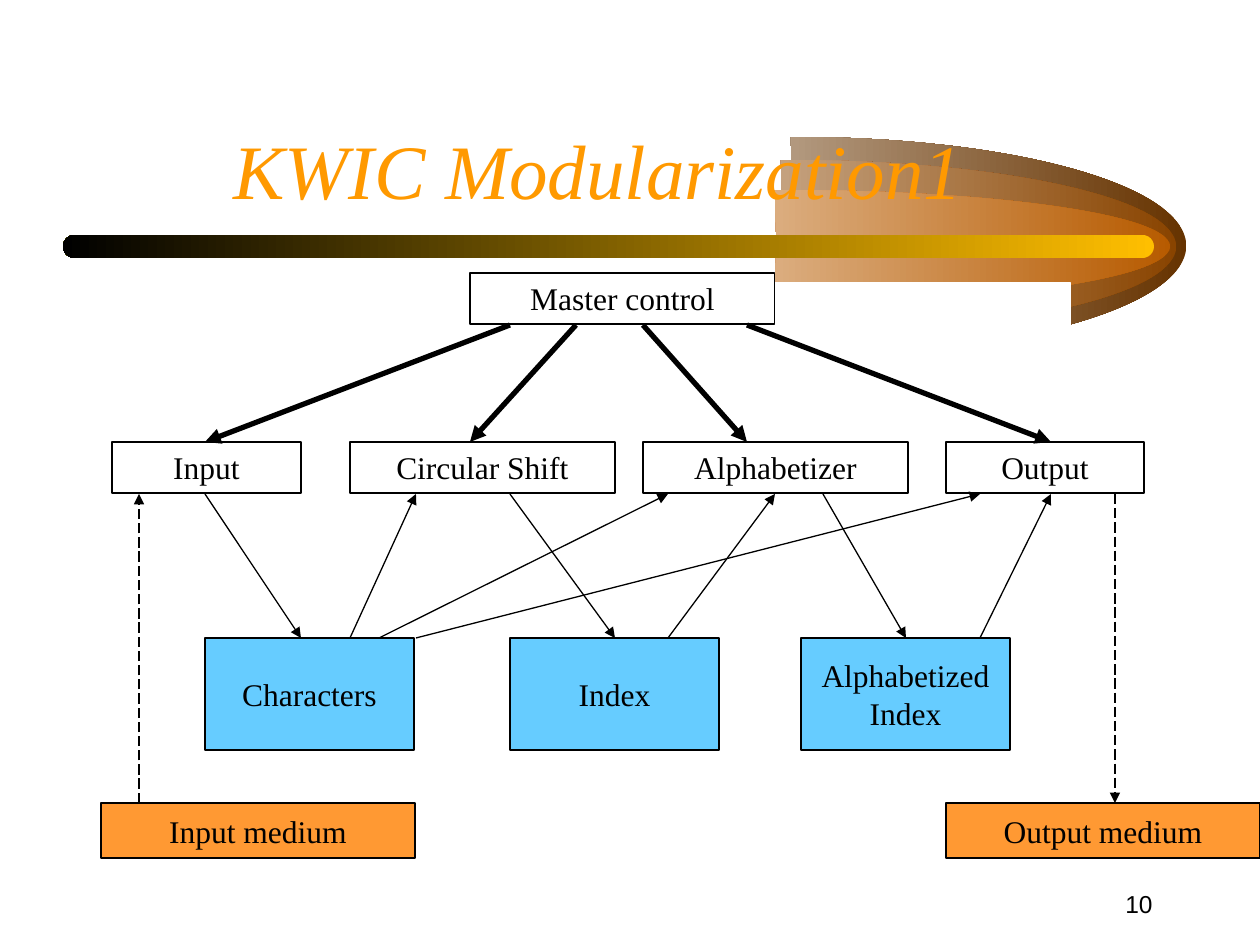
from dataclasses import dataclass

from lxml.etree import SubElement
from pptx import Presentation
from pptx.dml.color import RGBColor
from pptx.enum.dml import MSO_LINE
from pptx.enum.shapes import MSO_CONNECTOR, MSO_SHAPE
from pptx.enum.text import MSO_ANCHOR, MSO_AUTO_SIZE, PP_ALIGN
from pptx.oxml.ns import qn
from pptx.util import Pt

PX = 914400 // 126


@dataclass(frozen=True)
class Theme:
    serif: str = "Times New Roman"
    sans: str = "Arial"
    title_size: int = 44
    label_size: int = 18
    number_size: int = 14
    label_gap: float = 11.2
    thin: float = 0.75
    thick: float = 3
    ink: str = "000000"
    paper: str = "FFFFFF"
    accent: str = "FF9900"
    store: str = "66CCFF"
    medium: str = "FF9933"
    bar: str = "FFBF00"
    swooshes: tuple = ("663300", "894400", "B75B00")


# Right half of an ellipse, in thousandths of the box of the whole ellipse.
ARC_START = (498, 0)
ARC_CURVES = (
    ((677, -3), (843, 91), (933, 246)),
    ((1022, 400), (1021, 594), (931, 749)),
    ((842, 903), (676, 1000), (497, 997)),
)
ARC_CENTRE = (500, 497)


def rgb(color):
    return RGBColor.from_string(color)


class SlideBuilder:
    def __init__(self, slide, theme):
        self.s = slide
        self.t = theme

    def fade(self, sp, start, end):
        """Fill from right (start) to left (end), without outline."""
        sp.shadow.inherit = False
        sp.line.fill.background()
        sp.fill.gradient()
        sp.fill.gradient_angle = 180
        for stop, color in zip(sp.fill.gradient_stops, (start, end)):
            stop.color.rgb = rgb(color)

    def add_text(self, tf, lines, size, font, color, align, anchor, italic=None):
        tf.word_wrap = True
        tf.vertical_anchor = anchor
        p = tf.paragraphs[0]
        p.alignment = align
        for i, line in enumerate(lines):
            if i:
                p.add_line_break()
            r = p.add_run()
            r.text = line
            r.font.size = Pt(size)
            r.font.name = font
            r.font.italic = italic
            r.font.color.rgb = rgb(color)
        return p

    def swoosh(self, x, y, w, h, color):
        """Half ellipse whose box, and so its gradient, spans the whole ellipse."""
        fb = self.s.shapes.build_freeform(x, y, scale=PX)
        fb.add_line_segments([(x + w, y), (x + w, y + h), (x, y + h)])
        sp = fb.convert_to_shape()
        outlines = next(sp.element.iter(qn("a:pathLst")))
        outlines.clear()

        def add(outline, tag, *points):
            step = SubElement(outline, qn(tag))
            for px, py in points:
                SubElement(step, qn("a:pt"), x=str(px), y=str(py))

        for filled in (True, False):
            outline = SubElement(outlines, qn("a:path"), w="1000", h="1000")
            add(outline, "a:moveTo", ARC_START)
            for curve in ARC_CURVES:
                add(outline, "a:cubicBezTo", *curve)
            if filled:
                add(outline, "a:lnTo", ARC_CENTRE)
                add(outline, "a:close")
            else:
                outline.set("fill", "none")
        self.fade(sp, color, self.t.paper)

    def bar(self, x, y, w, h):
        sp = self.s.shapes.add_shape(
            MSO_SHAPE.ROUNDED_RECTANGLE, x * PX, y * PX, w * PX, h * PX)
        sp.adjustments[0] = 0.5
        self.fade(sp, self.t.bar, self.t.ink)
        return sp

    def title(self, x, y, w, h, text, behind):
        """Place the title just in front of the shape behind it."""
        sp = self.s.shapes.title
        sp.left, sp.top, sp.width, sp.height = (v * PX for v in (x, y, w, h))
        self.add_text(sp.text_frame, [text], self.t.title_size, self.t.serif,
                      self.t.accent, PP_ALIGN.CENTER, MSO_ANCHOR.BOTTOM, True)
        sp.text_frame.auto_size = MSO_AUTO_SIZE.NONE
        behind.element.addnext(sp.element)

    def box(self, x, y, w, h, lines=(), fill=None, line=None):
        sp = self.s.shapes.add_shape(
            MSO_SHAPE.RECTANGLE, x * PX, y * PX, w * PX, h * PX)
        sp.shadow.inherit = False
        sp.line.color.rgb = rgb(line or self.t.ink)
        sp.line.width = Pt(self.t.thin)
        if fill:
            sp.fill.solid()
            sp.fill.fore_color.rgb = rgb(fill)
        else:
            sp.fill.background()
        if lines:
            anchor = MSO_ANCHOR.MIDDLE if fill else MSO_ANCHOR.TOP
            p = self.add_text(sp.text_frame, lines, self.t.label_size, self.t.serif,
                              self.t.ink, PP_ALIGN.CENTER, anchor)
            p.space_before = Pt(self.t.label_gap)
            if not fill:
                sp.text_frame.auto_size = MSO_AUTO_SIZE.SHAPE_TO_FIT_TEXT

    def arrow(self, x1, y1, x2, y2, width=None, dashed=False):
        c = self.s.shapes.add_connector(
            MSO_CONNECTOR.STRAIGHT, x1 * PX, y1 * PX, x2 * PX, y2 * PX)
        c.line.color.rgb = rgb(self.t.ink)
        c.line.width = Pt(width or self.t.thin)
        if dashed:
            c.line.dash_style = MSO_LINE.LONG_DASH
        sp_pr = c.element.spPr
        SubElement(sp_pr.find(qn("a:ln")), qn("a:tailEnd"), type="triangle")
        SubElement(sp_pr, qn("a:effectLst"))

    def number(self, x, y, w, h, text):
        sp = self.s.shapes.add_textbox(x * PX, y * PX, w * PX, h * PX)
        self.add_text(sp.text_frame, [text], self.t.number_size, self.t.sans,
                      self.t.ink, PP_ALIGN.RIGHT, MSO_ANCHOR.MIDDLE)


def main():
    prs = Presentation()
    prs.slide_width, prs.slide_height = 1260 * PX, 945 * PX
    t = Theme()
    b = SlideBuilder(prs.slides.add_slide(prs.slide_layouts[5]), t)

    swoosh_boxes = ((398, 137, 789, 220), (388, 160, 789, 175), (382, 190, 789, 114))
    for place, color in zip(swoosh_boxes, t.swooshes):
        b.swoosh(*place, color)
    bar = b.bar(63, 235, 1091, 23)
    b.title(63, 63, 1071, 158, "KWIC Modularization1", bar)
    b.box(84, 283, 987, 567, fill=t.paper, line=t.paper)

    control_bottom, module_top, module_bottom = 325, 442, 494
    store_top, medium_top = 638, 803

    b.box(470, 273, 305, 51, ["Master control"])
    for x, name in ((101, "Input medium"), (946, "Output medium")):
        b.box(x, medium_top, 314, 55, [name], t.medium)
    b.arrow(139, medium_top, 139, module_bottom, dashed=True)
    b.arrow(1115, module_bottom, 1115, medium_top, dashed=True)

    stores = ((205, ["Characters"]), (510, ["Index"]), (801, ["Alphabetized", "Index"]))
    for x, lines in stores:
        b.box(x, store_top, 209, 112, lines, t.store)
    for x1, x2 in ((205, 301), (510, 615), (823, 906)):
        b.arrow(x1, module_bottom, x2, store_top)
    for x1, x2 in ((350, 416), (379, 668), (416, 980), (668, 775), (980, 1051)):
        b.arrow(x1, store_top, x2, module_bottom)

    modules = (
        (112, 189, "Input", 510, 205),
        (350, 265, "Circular Shift", 576, 470),
        (643, 265, "Alphabetizer", 643, 747),
        (946, 198, "Output", 747, 1051),
    )
    for x, w, name, x1, x2 in modules:
        b.box(x, module_top, w, 51, [name])
        b.arrow(x1, control_bottom, x2, module_top, t.thick)

    b.number(903, 872, 262, 63, "10")
    prs.save("out.pptx")


if __name__ == "__main__":
    main()
